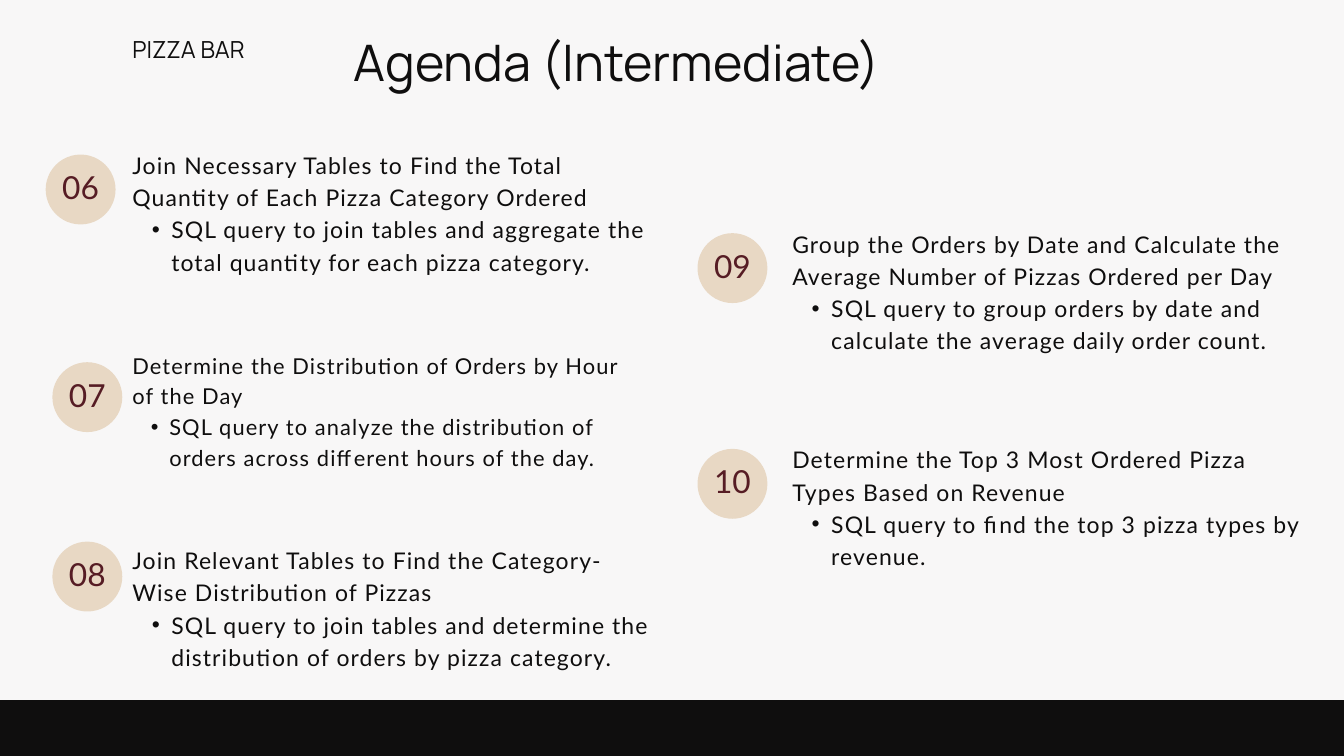
"""Build the intermediate agenda slide with five numbered SQL topics."""
from dataclasses import dataclass

from lxml import etree
from pptx import Presentation
from pptx import util as u
from pptx.dml.color import RGBColor
from pptx.enum import shapes, text
from pptx.oxml import ns

INK, SAND, WINE, PAPER = "0F0E0E", "E8D8C4", "561C24", "F8F7F7"
BADGE_SIZE = 1.04


@dataclass
class Topic:
    """A numbered agenda entry with its badge and text positions."""
    number: str
    heading: str
    detail: str
    badge: tuple[float, float]
    corner: tuple[float, float]
    width: float = 7.76
    height: float = 1.93
    size: float = 24.6
    leading: float = 34.4
    indent: float = 0.58


TOPICS = [
    Topic("06", "Join Necessary Tables to Find the Total Quantity of Each Pizza Category Ordered",
          "SQL query to join tables and aggregate the total quantity for each pizza category.",
          (0.68, 2.3), (1.97, 2.19)),
    Topic("07", "Determine the Distribution of Orders by Hour of the Day",
          "SQL query to analyze the distribution of orders across different hours of the day.",
          (0.78, 5.39), (1.97, 5.18), 7.57, 1.83, 23.4, 32.8, 0.55),
    Topic("08", "Join Relevant Tables to Find the Category-Wise Distribution of Pizzas",
          "SQL query to join tables and determine the distribution of orders by pizza category.",
          (0.78, 8.06), (1.97, 8.07)),
    Topic("09", "Group the Orders by Date and Calculate the Average Number of Pizzas Ordered per Day",
          "SQL query to group orders by date and calculate the average daily order count.",
          (10.38, 3.47), (11.79, 3.36)),
    Topic("10", "Determine the Top 3 Most Ordered Pizza Types Based on Revenue",
          "SQL query to find the top 3 pizza types by revenue.",
          (10.38, 6.68), (11.79, 6.57)),
]


def color(value: str) -> RGBColor:
    """Turn a hex string into a colour."""
    return RGBColor.from_string(value)


def box(*lengths: float) -> list[u.Length]:
    """Convert left, top, width and height to lengths."""
    return [u.Inches(length) for length in lengths]


def prepare(frame, *, inset: float = 0, anchor=text.MSO_ANCHOR.TOP,
            fit=text.MSO_AUTO_SIZE.SHAPE_TO_FIT_TEXT) -> None:
    """Set the wrapping, margins, anchor and sizing of a text frame."""
    frame.word_wrap = True
    frame.auto_size = fit
    frame.vertical_anchor = anchor
    frame.margin_left = frame.margin_right = u.Inches(inset)
    frame.margin_top = frame.margin_bottom = u.Inches(inset)


def write(paragraph, words: str, *, size: float, leading: float, font: str = "Lato",
          ink: str = INK, align=text.PP_ALIGN.LEFT, tracking: float = 0,
          indent: float = 0) -> None:
    """Write one formatted paragraph, bulleted when an indent is given."""
    paragraph.alignment = align
    paragraph.line_spacing = u.Pt(leading)
    run = paragraph.add_run()
    run.text = words
    run.font.size = u.Pt(size)
    run.font.name = font
    run.font.color.rgb = color(ink)
    if tracking:
        run.font._element.set("spc", str(round(tracking * 100)))
    if indent:
        paragraph.level = 1
        properties = paragraph._p.get_or_add_pPr()
        properties.set("marL", str(u.Inches(indent)))
        properties.set("indent", str(-u.Inches(indent / 2)))
        etree.SubElement(properties, ns.qn("a:buFont")).set("typeface", "Arial")
        etree.SubElement(properties, ns.qn("a:buChar")).set("char", "•")


def add_filled(parent, kind, place: list[u.Length], fill: str) -> None:
    """Add a flat shape without outline or shadow."""
    shape = parent.add_shape(kind, *place)
    shape.shadow.inherit = False
    shape.fill.solid()
    shape.fill.fore_color.rgb = color(fill)
    shape.line.fill.background()


def add_badge(slide, topic: Topic) -> None:
    """Draw the round number badge of a topic."""
    left, top = topic.badge
    badge = slide.shapes.add_group_shape().shapes
    add_filled(badge, shapes.MSO_SHAPE.OVAL, box(left, top, BADGE_SIZE, BADGE_SIZE), SAND)
    number = badge.add_textbox(*box(left + 0.1, top - 0.07, 0.84, 1.01)).text_frame
    prepare(number, inset=0.06, anchor=text.MSO_ANCHOR.MIDDLE, fit=text.MSO_AUTO_SIZE.NONE)
    write(number.paragraphs[0], topic.number, size=34, leading=47.6, ink=WINE,
          align=text.PP_ALIGN.CENTER)


def add_description(slide, topic: Topic) -> None:
    """Write the heading and bulleted detail of a topic."""
    frame = slide.shapes.add_textbox(*box(*topic.corner, topic.width, topic.height)).text_frame
    prepare(frame)
    style = dict(size=topic.size, leading=topic.leading, tracking=1.2)
    write(frame.paragraphs[0], topic.heading, **style)
    write(frame.add_paragraph(), topic.detail, indent=topic.indent, **style)


def main() -> None:
    """Build and save the slide."""
    deck = Presentation()
    deck.slide_width, deck.slide_height = u.Inches(20), u.Inches(11.25)
    slide = deck.slides.add_slide(deck.slide_layouts[5])
    slide.background.fill.solid()
    slide.background.fill.fore_color.rgb = color(PAPER)

    title = slide.shapes.title
    title.left, title.top, title.width, title.height = box(5.26, 0.58, 9.48, 0.87)
    prepare(title.text_frame)
    write(title.text_frame.paragraphs[0], "Agenda (Intermediate)",
          size=53.9, leading=56.1, font="Manrope")

    restaurant = slide.shapes.add_textbox(*box(1.97, 0.57, 2.72, 0.77)).text_frame
    prepare(restaurant)
    write(restaurant.paragraphs[0], "PIZZA BAR", size=25.2, leading=26.2, font="Manrope")

    for topic in TOPICS:
        add_badge(slide, topic)
    for topic in TOPICS:
        add_description(slide, topic)

    add_filled(slide.shapes, shapes.MSO_SHAPE.RECTANGLE, box(0, 10.42, 20, 0.83), INK)
    deck.save("out.pptx")


if __name__ == "__main__":
    main()
